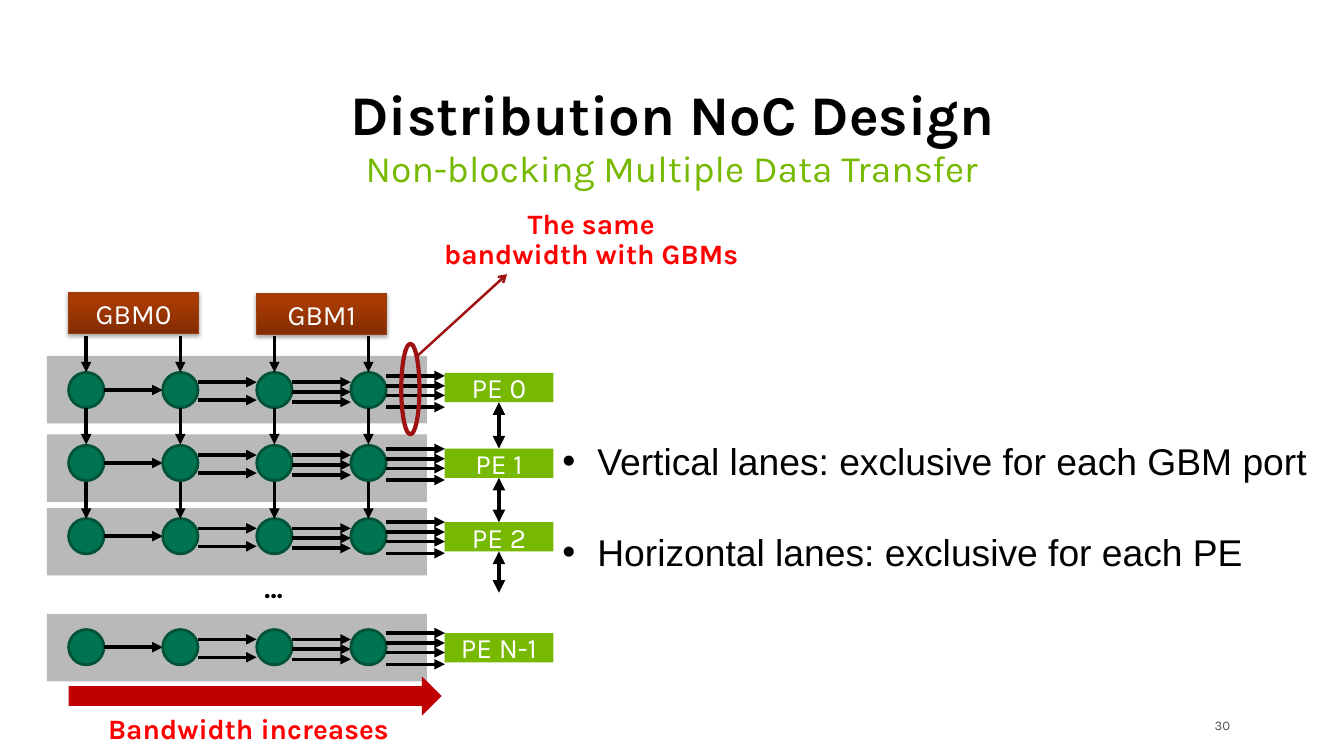
from lxml import etree
from pptx import Presentation
from pptx.dml.color import RGBColor
from pptx.enum import shapes, text
from pptx.oxml import ns
from pptx.util import Pt

TITLE = "Distribution NoC Design"
SUBTITLE = "Non-blocking Multiple Data Transfer"
BANDWIDTH_NOTE = ["The same", "bandwidth with GBMs"]
INCREASE_NOTE = "Bandwidth increases"
BULLETS = ["Vertical lanes: exclusive for each GBM port",
           "Horizontal lanes: exclusive for each PE"]
PAGE = "30"
BUFFERS = [("GBM0", 208.8), ("GBM1", 209.5)]
ROWS = [
    {"name": "PE 0", "lane": 278.3, "center": 278.6, "pe": 266.4},
    {"name": "PE 1", "lane": 334.4, "center": 330.7, "pe": 320.4},
    {"name": "PE 2", "lane": 387, "center": 383, "pe": 373},
    {"name": "PE N-1", "lane": 462.6, "center": 462.3, "pe": 452.2},
]
WIRE_OFFSETS = [(0,), (-5.6, 7.2), (-5.6, 1.4, 8.6), (-10.1, -3, 3.8, 12.2)]
DROPS = [(239.8, 265.9), (291.2, 317.5), (344.2, 370.6)]

LEFT, PITCH, NODE = 49, 67.2, 25.2
PE_LEFT, PE_WIDTH, PE_HEIGHT = 317.5, 77.8, 20.9
LANE_WIDTH, LANE_HEIGHT = 271.4, 48.2
LAST_LINK_END = 423.4
BLACK, WHITE, RED, GREEN = "000000", "FFFFFF", "FF0000", "76B900"
DARK_RED = "9E1212"

prs = Presentation()
prs.slide_width, prs.slide_height = Pt(960), Pt(540)
slide = prs.slides.add_slide(prs.slide_layouts[5])


def paint(color_format, value):
    color_format.rgb = RGBColor.from_string(value)


def write(part, lines, size=20, color=BLACK, font="Karla", bold=False, align="CENTER",
          anchor="MIDDLE", spacing=0.9, inset=None, gap=0, bullet=False):
    frame = part.text_frame
    frame.word_wrap = True
    frame.auto_size = text.MSO_AUTO_SIZE.NONE
    frame.vertical_anchor = text.MSO_ANCHOR[anchor]
    if inset is not None:
        frame.margin_left = frame.margin_right = Pt(inset)
        frame.margin_top = frame.margin_bottom = Pt(inset)
    for index, line in enumerate([lines] if isinstance(lines, str) else lines):
        paragraph = frame.add_paragraph() if index else frame.paragraphs[0]
        paragraph.alignment = text.PP_ALIGN[align]
        paragraph.line_spacing = spacing
        paragraph.space_before = Pt(gap if index else 0)
        run = paragraph.add_run()
        run.text = line
        run.font.size, run.font.name, run.font.bold = Pt(size), font, bold
        paint(run.font.color, color)
        if bullet:
            props = paragraph._p.get_or_add_pPr()
            props.set("marL", str(Pt(25)))
            props.set("indent", str(-Pt(25)))
            etree.SubElement(props, ns.qn("a:buFont")).set("typeface", "Arial")
            etree.SubElement(props, ns.qn("a:buChar")).set("char", "•")


def label(lines, x, y, width, height, **style):
    write(slide.shapes.add_textbox(Pt(x), Pt(y), Pt(width), Pt(height)), lines, **style)


def block(kind, x, y, width, height, fill=None, outline=None, weight=1):
    part = slide.shapes.add_shape(shapes.MSO_SHAPE[kind], Pt(x), Pt(y), Pt(width), Pt(height))
    part.shadow.inherit = False
    if fill:
        part.fill.solid()
        paint(part.fill.fore_color, fill)
    else:
        part.fill.background()
    if outline:
        paint(part.line.color, outline)
        part.line.width = Pt(weight)
    else:
        part.line.fill.background()
    return part


def arrow(x1, y1, x2, y2, weight=2.5, color=BLACK, tip="triangle", both=False):
    link = slide.shapes.add_connector(shapes.MSO_CONNECTOR.STRAIGHT,
                                      Pt(x1), Pt(y1), Pt(x2), Pt(y2))
    paint(link.line.color, color)
    link.line.width = Pt(weight)
    ends = ["headEnd", "tailEnd"] if both else ["tailEnd"]
    for end in ends:
        etree.SubElement(link.line._get_or_add_ln(), ns.qn("a:" + end)).set("type", tip)
    etree.SubElement(link._element.spPr, ns.qn("a:effectLst"))


def buffer(name, x, y):
    part = block("RECTANGLE", x, y, 92.9, 29.5, outline="9A3F12", weight=0.75)
    part.fill.gradient()
    part.fill.gradient_angle = 90
    for stop, (position, color) in zip(part.fill.gradient_stops, [(0, "822C02"), (0.8, "A83A02")]):
        stop.position = position
        paint(stop.color, color)
    effects = part._element.spPr.find(ns.qn("a:effectLst"))
    shadow = etree.SubElement(effects, ns.qn("a:outerShdw"), blurRad=str(Pt(3.1)),
                              dist=str(Pt(1.8)), dir="5400000", rotWithShape="0")
    tint = etree.SubElement(shadow, ns.qn("a:srgbClr"), val=BLACK)
    etree.SubElement(tint, ns.qn("a:alpha"), val="35000")
    write(part, name, color=WHITE, spacing=1, inset=0)


title = slide.shapes.title
title.left, title.top, title.width, title.height = Pt(43.9), Pt(57.6), Pt(872.6), Pt(51.8)
write(title, TITLE, size=40, bold=True, anchor="BOTTOM")
label(SUBTITLE, 43.9, 103.7, 872.6, 46, size=26.6, color=GREEN, anchor="TOP")

for row in ROWS:
    block("RECTANGLE", 33.6, row["lane"] - LANE_HEIGHT / 2, LANE_WIDTH, LANE_HEIGHT, "B9B9B9")

for row in ROWS:
    pe = block("RECTANGLE", PE_LEFT, row["pe"], PE_WIDTH, PE_HEIGHT, GREEN)
    write(pe, row["name"], color=WHITE, spacing=1, inset=0)
    for column, offsets in enumerate(WIRE_OFFSETS):
        x = LEFT + column * PITCH
        block("OVAL", x, row["center"] - NODE / 2, NODE, NODE, "007450", "005338", 2)
        for offset in offsets:
            y = row["center"] + offset
            arrow(x + NODE, y, x + PITCH, y)

for index, (name, y) in enumerate(BUFFERS):
    buffer(name, LEFT + index * 2 * PITCH, y)

for top, bottom in DROPS:
    for column in range(len(WIRE_OFFSETS)):
        x = LEFT + column * PITCH + NODE / 2
        arrow(x, top, x, bottom)

pe_center = PE_LEFT + PE_WIDTH / 2
link_ends = [row["pe"] for row in ROWS[1:3]] + [LAST_LINK_END]
for row, end in zip(ROWS, link_ends):
    arrow(pe_center, row["pe"] + PE_HEIGHT, pe_center, end, weight=3, both=True)

label("…", 177.8, 406.8, 35.3, 28.8, bold=True)
label(BANDWIDTH_NOTE, 305.3, 146.2, 234, 51.1, color=RED, bold=True)
block("OVAL", 286.6, 245.5, 13, 64.8, outline=DARK_RED, weight=3)
arrow(297.4, 254.9, 362.2, 195.8, weight=1.75, color=DARK_RED, tip="arrow")
label(BULLETS, 394.6, 309.6, 553, 123.1, size=26.6, font="Arial", align="LEFT",
      anchor="TOP", spacing=1, gap=33, bullet=True)
block("RIGHT_ARROW", LEFT, 483.1, 266.4, 28.1, "C00000")
label(INCREASE_NOTE, 60.5, 507.6, 234, 28.8, color=RED, bold=True)
label(PAGE, 850, 510.5, 28.8, 14.4, size=9.4, color="505050", align="RIGHT", spacing=1, inset=0)

prs.save("out.pptx")
